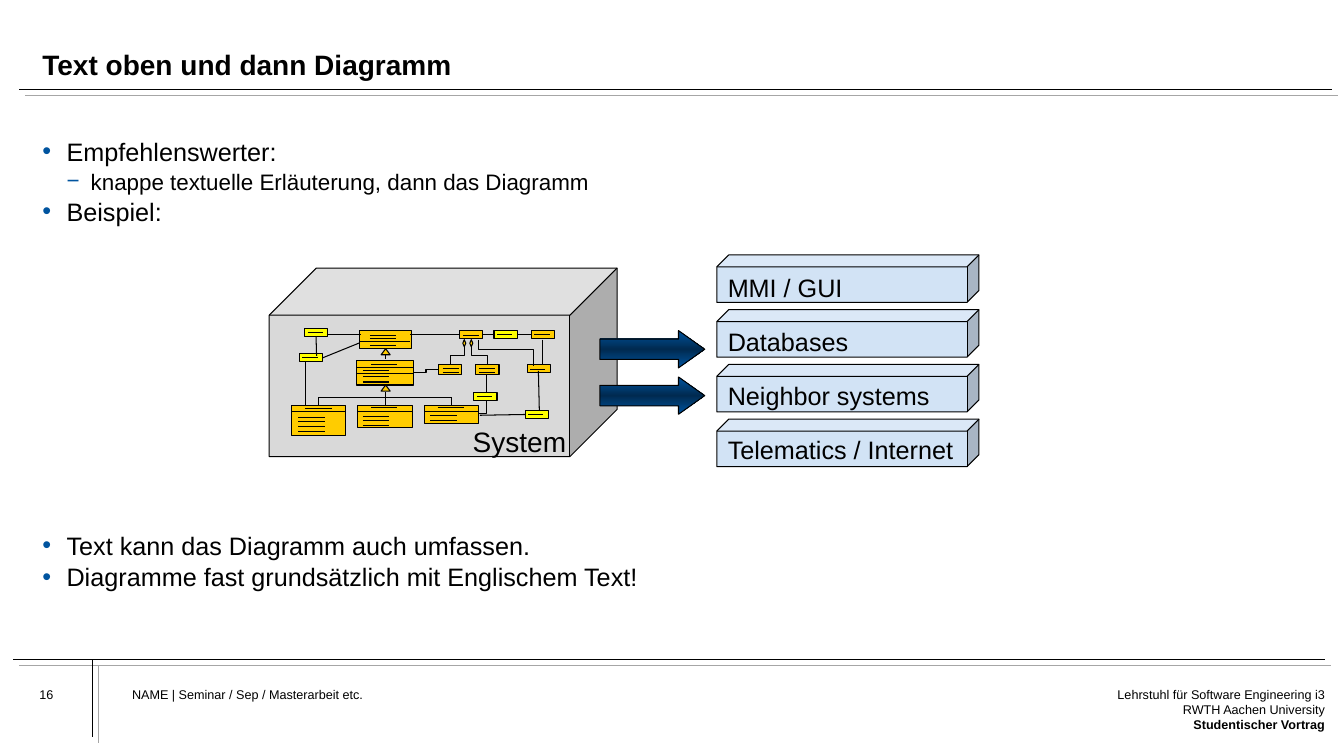
from copy import deepcopy

from lxml import etree
from pptx import Presentation
from pptx.dml.color import RGBColor
from pptx.enum.dml import MSO_LINE
from pptx.enum.shapes import MSO_CONNECTOR as LINK, MSO_SHAPE as SHAPE
from pptx.enum.text import MSO_ANCHOR as ANCHOR, MSO_AUTO_SIZE as FIT, PP_ALIGN as ALIGN
from pptx.oxml.ns import qn
from pptx.util import Inches, Pt

COLOURS = {
    "ink": "000000", "echo": "A6A6A6", "blue": "00549F", "navy": "002A50",
    "system": "D9D9D9", "layer": "D2E3F5", "amber": "FFCC00", "yellow": "FFFF00",
}
RGB = {name: RGBColor.from_string(value) for name, value in COLOURS.items()}
TOP, LEFT, BOTTOM, RIGHT = range(4)


def draw_shape(shapes, kind, place, colour):
    shape = shapes.add_shape(kind, *map(Inches, place))
    shape.shadow.inherit = False
    shape.fill.solid()
    shape.fill.fore_color.rgb = RGB[colour]
    shape.line.color.rgb = RGB["ink"]
    shape.line.width = Pt(0.75)
    return shape


def draw_line(shapes, ends, colour="ink", width=0.75, kind=LINK.STRAIGHT):
    line = shapes.add_connector(kind, *map(Inches, ends))
    etree.SubElement(line._element.spPr, qn("a:effectLst"))
    line.line.color.rgb = RGB[colour]
    line.line.width = Pt(width)
    return line


deck = Presentation()
deck.slide_width, deck.slide_height = Inches(13.33), Inches(7.5)
page = deck.slides.add_slide(deck.slide_layouts[1])
title, body = page.shapes.title, page.placeholders[1]

# Title and bullets
for holder, place, anchor in (
    (title, (0.42, 0.22, 12.56, 0.59), ANCHOR.BOTTOM),
    (body, (0.42, 1.35, 12.56, 4.8), ANCHOR.TOP),
):
    holder.left, holder.top, holder.width, holder.height = map(Inches, place)
    frame = holder.text_frame
    settings = {"margin_left": 0, "margin_top": 0, "margin_right": 0, "margin_bottom": 0,
                "word_wrap": True, "auto_size": FIT.NONE, "vertical_anchor": anchor}
    for name, value in settings.items():
        setattr(frame, name, value)

para = title.text_frame.paragraphs[0]
para.alignment, para.line_spacing = ALIGN.LEFT, 0.9
span = para.add_run()
span.text = "Text oben und dann Diagramm"
for name, value in {"name": "Arial", "size": Pt(20), "bold": True}.items():
    setattr(span.font, name, value)
span.font.color.rgb = RGB["ink"]

BULLETS = [  # text, level, space before in points
    ("Empfehlenswerter:", 0, 0),
    ("knappe textuelle Erläuterung, dann das Diagramm", 1, 1),
    ("Beispiel:", 0, 1),
    ("Text kann das Diagramm auch umfassen.", 0, 217),
    ("Diagramme fast grundsätzlich mit Englischem Text!", 0, 1),
]
for index, (text, level, gap) in enumerate(BULLETS):
    frame = body.text_frame
    para = frame.add_paragraph() if index else frame.paragraphs[0]
    para.level, para.space_before = level, Pt(gap)
    format_node = para._p.get_or_add_pPr()
    format_node.set("marL", str(Inches(0.24 * (level + 1))))
    format_node.set("indent", str(-Inches(0.24)))
    tint = etree.SubElement(format_node, qn("a:buClr"))
    etree.SubElement(tint, qn("a:srgbClr"), val=COLOURS["blue"])
    etree.SubElement(format_node, qn("a:buFont"), typeface="Arial")
    etree.SubElement(format_node, qn("a:buChar"), char="•−"[level])
    span = para.add_run()
    span.text = text
    span.font.name, span.font.size = "Arial", Pt(18 - 2 * level)
    span.font.color.rgb = RGB["ink"]

# Double rules of the frame
for x1, y1, x2, y2 in (
    (0.19, 0.89, 13.21, 0.89), (0.13, 6.54, 13.14, 6.54), (0.92, 6.54, 0.92, 7.31),
):
    for shift, colour in ((0, "ink"), (0.06, "echo")):
        draw_line(page.shapes, [end + shift for end in (x1, y1, x2, y2)], colour, 0.5)

# System, arrows and outer layers
draw_shape(page.shapes, SHAPE.CUBE, (2.67, 2.66, 3.45, 1.87), "system")
for top in (3.28, 3.74):
    arrow = draw_shape(page.shapes, SHAPE.RIGHT_ARROW, (5.95, top, 1.04, 0.37), "blue")
    arrow.adjustments[0], arrow.adjustments[1] = 0.547, 0.703
    arrow.fill.gradient()
    arrow.fill.gradient_angle = 90
    stop_list = arrow._element.spPr.find(qn("a:gradFill")).find(qn("a:gsLst"))
    stop_list.append(deepcopy(stop_list[0]))
    for stop, position, colour in zip(arrow.fill.gradient_stops, (0, 0.5, 1), ("blue", "navy", "blue")):
        stop.position, stop.color.rgb = position, RGB[colour]

LAYERS = ["MMI / GUI", "Databases", "Neighbor systems", "Telematics / Internet"]
for row in range(len(LAYERS)):
    draw_shape(page.shapes, SHAPE.CUBE, (7.11, 2.53 + 0.543 * row, 2.6, 0.47), "layer")

# Class diagram on the front of the system
diagram = page.shapes.add_group_shape().shapes
CLASSES = {
    "left": (2.89, 4.02, 0.54, 0.3), "centre": (3.55, 4.02, 0.54, 0.22),
    "right": (4.21, 4.02, 0.54, 0.18), "parent": (3.54, 3.58, 0.56, 0.24),
    "interface": (3.57, 3.28, 0.51, 0.18), "hub": (4.56, 3.28, 0.23, 0.08),
    "part one": (4.35, 3.62, 0.23, 0.1), "part two": (4.72, 3.62, 0.23, 0.1),
    "part three": (5.23, 3.62, 0.23, 0.08), "corner": (5.27, 3.28, 0.23, 0.08),
}
OBJECTS = {
    "first": (3.02, 3.26), "second": (2.97, 3.51), "third": (4.9, 3.28),
    "fourth": (4.7, 3.89), "fifth": (5.21, 4.07),
}
boxes = {name: draw_shape(diagram, SHAPE.RECTANGLE, place, "amber") for name, place in CLASSES.items()}
for top in (3.46, 3.82):
    draw_shape(diagram, SHAPE.ISOSCELES_TRIANGLE, (3.78, top, 0.09, 0.06), "amber")
for left in (4.59, 4.66):
    draw_shape(diagram, SHAPE.FLOWCHART_DECISION, (left, 3.37, 0.03, 0.07), "amber")

draw_line(diagram, (4.79, 3.32, 5.27, 3.32)).begin_connect(boxes["hub"], RIGHT)
diagram[-1].end_connect(boxes["corner"], LEFT)
for x, y, child in (
    (3.16, 3.94, "left"), (3.82, 3.89, "centre"), (4.48, 3.94, "right"), (3.82, 3.52, "parent"),
):
    draw_line(diagram, (x, y, x, CLASSES[child][1])).end_connect(boxes[child], TOP)
diagram[-1].line.dash_style = MSO_LINE.DASH
draw_line(diagram, (3.16, 3.94, 4.48, 3.94))
draw_line(diagram, (5.38, 3.37, 5.38, 3.62))

ELBOWS = [  # left, top, width, height, rotation, flip, bend
    (4.66, 3.45, 0.19, 0.15, 270, "flipH", 0.5),
    (4.44, 3.46, 0.19, 0.14, 90, None, 0.5),
    (4.89, 3.23, 0.26, 0.54, 90, "flipV", 0.385),
    (4.07, 3.32, 0.49, 0, 180, None, 0.5),
    (4.1, 3.67, 0.25, 0.03, 180, "flipV", 0.5),
    (4.6, 3.87, 0.38, 0.08, 90, None, None),
]
for left, top, width, height, rotation, flip, bend in ELBOWS:
    elbow = draw_line(diagram, (left, top, left + width, top + height), kind=LINK.ELBOW)
    frame_node = elbow._element.spPr.find(qn("a:xfrm"))
    frame_node.set("rot", str(rotation * 60000))
    if flip:
        frame_node.set(flip, "1")
    geometry = elbow._element.spPr.find(qn("a:prstGeom"))
    if bend is None:
        geometry.set("prst", "bentConnector2")
    else:
        etree.SubElement(geometry.find(qn("a:avLst")), qn("a:gd"), name="adj1", fmla=f"val {round(bend * 100000)}")

builder = diagram.build_freeform(Inches(4.76), Inches(4.12), scale=1.0)
builder.add_line_segments([(Inches(5.35), Inches(4.11)), (Inches(5.34), Inches(3.68))], close=False)
path_line = builder.convert_to_shape()
path_line.shadow.inherit = False
path_line.fill.background()
path_line.line.color.rgb, path_line.line.width = RGB["ink"], Pt(0.75)

for name, (left, top) in OBJECTS.items():
    boxes[name] = draw_shape(diagram, SHAPE.RECTANGLE, (left, top, 0.23, 0.08), "yellow")
draw_line(diagram, (3.24, 3.32, 3.58, 3.32))
draw_line(diagram, (3.14, 3.53, 3.14, 3.34)).end_connect(boxes["first"], BOTTOM)
draw_line(diagram, (3.19, 3.56, 3.57, 3.4)).begin_connect(boxes["second"], RIGHT)
draw_line(diagram, (3.03, 3.59, 3.03, 4.02))

STROKES = [  # left, length, heights: compartment rules, then stand-ins for text
    (2.89, 0.54, [4.08]), (3.55, 0.54, [4.08]), (4.21, 0.54, [4.08]),
    (3.54, 0.56, [3.65, 3.71]), (3.57, 0.5, [3.39]),
    (3.67, 0.26, [3.33, 3.36, 3.43]), (3.68, 0.26, [3.62, 4.04]),
    (3.6, 0.26, [3.68, 3.74, 3.79, 4.13, 4.17, 4.22]),
    (3.03, 0.26, [4.05]), (2.96, 0.26, [4.14, 4.18, 4.23, 4.28]),
    (4.34, 0.26, [4.04]), (4.27, 0.26, [4.12, 4.17]),
    (4.39, 0.16, [3.66, 3.7]), (4.75, 0.16, [3.66, 3.7]),
    (4.59, 0.16, [3.33]), (5.26, 0.15, [3.67]), (5.3, 0.15, [3.32]),
] + [(left + 0.03, 0.15, [top + 0.04]) for left, top in OBJECTS.values()]
for left, length, heights in STROKES:
    for y in heights:
        draw_line(diagram, (left, y, left + length, y))

# Labels and footer
LABELS = [((7.12, 2.65 + 0.535 * row, width, 0.4), [text], 18, ALIGN.LEFT)
          for row, (text, width) in enumerate(zip(LAYERS, (1.34, 1.4, 2.2, 2.47)))]
LABELS += [
    ((4.59, 4.16, 1.13, 0.43), ["System"], 20, ALIGN.LEFT),
    ((0.39, 6.81, 0.8, 0.43), ["16"], 9, ALIGN.LEFT),
    ((1.31, 6.81, 7.66, 0.69), ["NAME | Seminar / Sep / Masterarbeit etc."], 9, ALIGN.LEFT),
    ((10.99, 6.81, 2.15, 0.69), ["Lehrstuhl für Software Engineering i3", "RWTH Aachen University",
                                 "Studentischer Vortrag"], 9, ALIGN.RIGHT),
]
for place, lines, size, align in LABELS:
    frame = page.shapes.add_textbox(*map(Inches, place)).text_frame
    footer = size == 9
    frame.word_wrap = footer
    frame.auto_size = FIT.NONE if footer else FIT.SHAPE_TO_FIT_TEXT
    if footer:
        for side in ("left", "top", "right", "bottom"):
            setattr(frame, f"margin_{side}", 0)
    for index, text in enumerate(lines):
        para = frame.add_paragraph() if index else frame.paragraphs[0]
        para.alignment = align
        span = para.add_run()
        span.text = text
        for name, value in {"name": "Arial", "size": Pt(size), "bold": index == 2}.items():
            setattr(span.font, name, value)
        span.font.color.rgb = RGB["ink"]

deck.save("out.pptx")
